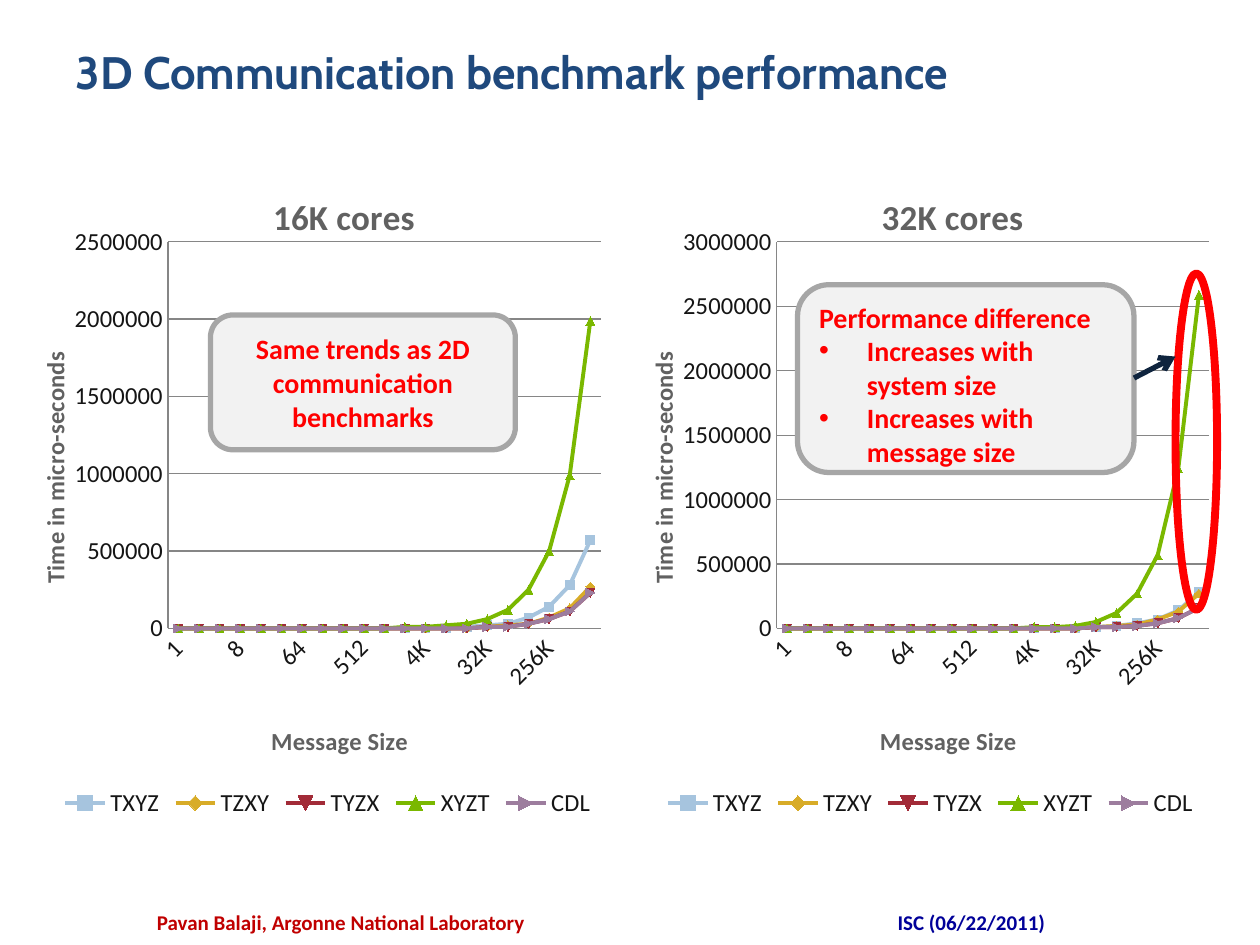
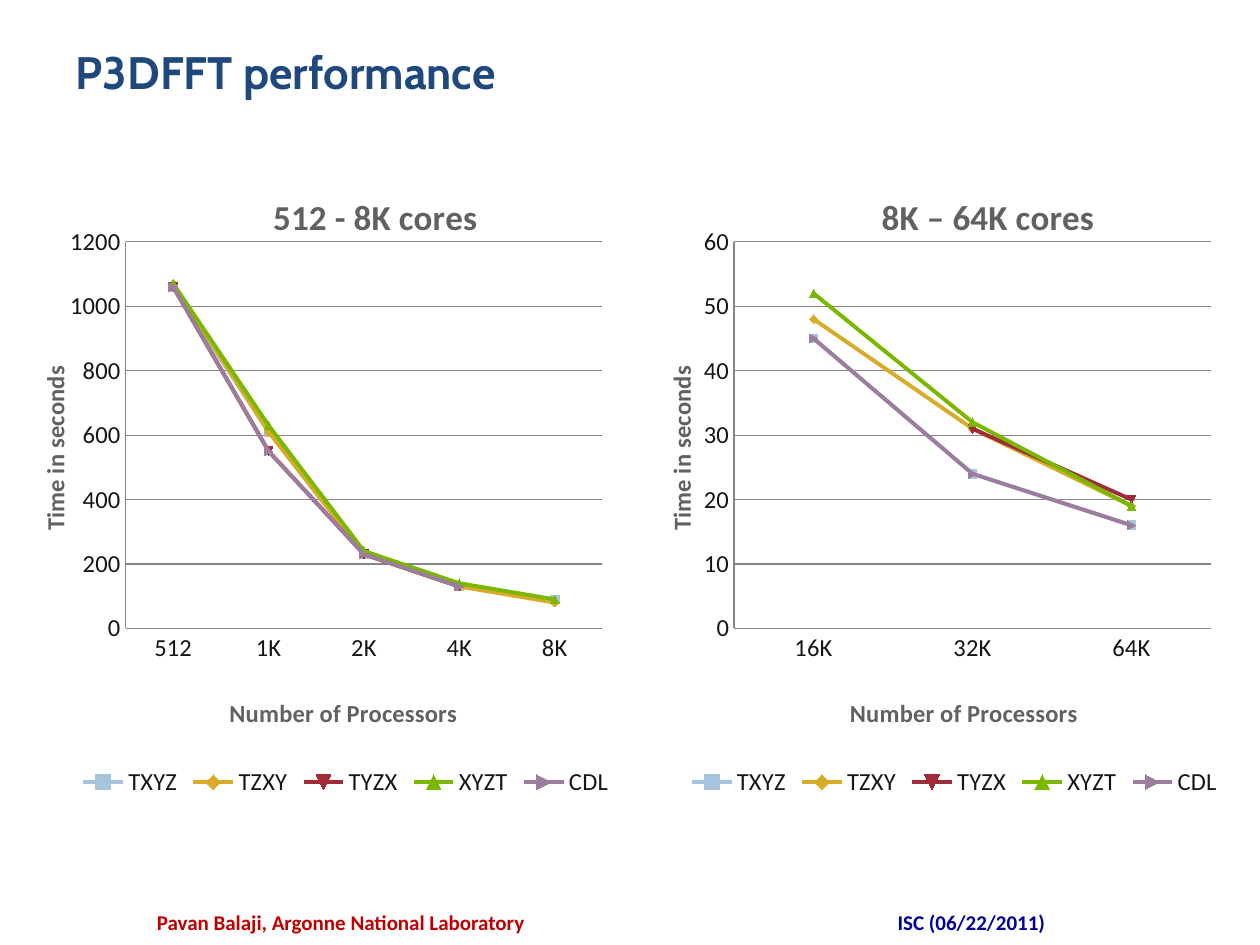
from lxml.etree import SubElement
from pptx import Presentation
from pptx.chart.data import CategoryChartData
from pptx.dml.color import RGBColor
from pptx.enum.chart import XL_CHART_TYPE, XL_LEGEND_POSITION, XL_TICK_MARK
from pptx.enum.shapes import MSO_CONNECTOR, MSO_SHAPE
from pptx.enum.text import MSO_ANCHOR, PP_ALIGN
from pptx.oxml.ns import qn
from pptx.util import Inches, Pt

# Shared look
NAVY, CRIMSON, BLUE, RED = "1F497D", "C00000", "000099", "FF0000"
GREY, INK, GRID = "616161", "151515", "868686"
PANEL, PANEL_EDGE, ARROW = "F2F2F2", "A6A6A6", "0F243E"
BODY_FONT, TITLE_FONT = "Calibri", "Cabin"
SERIES_COLORS = {"TXYZ": "A6C4DE", "TZXY": "D8AC28", "TYZX": "A22B38",
                 "XYZT": "7AB800", "CDL": "9D7D9E"}
CHART_LEFTS = (0.17, 5)

# Message sizes 1, 2, 4 ... 512K, 1MB
MESSAGE_SIZES = [str(2 ** n) if n < 10 else f"{2 ** (n - 10)}K"
                 for n in range(20)] + ["1MB"]


def color(hex_text):
    return RGBColor.from_string(hex_text)


def style_font(font, size, hex_color, bold=False, name=BODY_FONT):
    font.size, font.bold, font.name = Pt(size), bold, name
    font.color.rgb = color(hex_color)


def write(frame, *lines, size=16, hex_color=RED, bold=True, name=BODY_FONT,
          align=PP_ALIGN.LEFT, anchor=MSO_ANCHOR.TOP, bullets_from=None):
    """Fill a text frame, one paragraph a line; later lines may be bulleted."""
    frame.word_wrap = True
    frame.vertical_anchor = anchor
    for index, line in enumerate(lines):
        para = frame.paragraphs[0] if index == 0 else frame.add_paragraph()
        para.alignment = align
        if bullets_from is not None and index >= bullets_from:
            properties = para._p.get_or_add_pPr()
            properties.set("marL", str(Inches(0.38)))
            properties.set("indent", str(-Inches(0.38)))
            SubElement(properties, qn("a:buFont"), typeface="Arial")
            SubElement(properties, qn("a:buChar"), char="•")
        span = para.add_run()
        span.text = line
        style_font(span.font, size, hex_color, bold, name)


def add_page(deck, title):
    page = deck.slides.add_slide(deck.slide_layouts[5])
    box = page.shapes.title
    box.left, box.top = Inches(0.5), Inches(0.3)
    box.width, box.height = Inches(9), Inches(0.87)
    write(box.text_frame, title, size=26, hex_color=NAVY, name=TITLE_FONT)
    add_footer(page, "Pavan Balaji, Argonne National Laboratory", 1.08, 3.25, CRIMSON)
    add_footer(page, "ISC (06/22/2011)", 5.75, 3.92, BLUE)
    return page


def add_footer(page, text, left, width, hex_color):
    box = page.shapes.add_textbox(Inches(left), Inches(7.17), Inches(width), Inches(0.25))
    write(box.text_frame, text, size=12, hex_color=hex_color, align=PP_ALIGN.CENTER)


def place(element, **fractions):
    """Give a chart part a fixed place, as fractions of the chart."""
    is_plot = element.tag == qn("c:plotArea")
    old = element.find(qn("c:layout"))
    if old is not None:
        element.remove(old)
    layout = SubElement(element, qn("c:layout"))
    element.insert(0 if is_plot else 1, layout)
    manual = SubElement(layout, qn("c:manualLayout"))
    if is_plot:
        SubElement(manual, qn("c:layoutTarget"), val="inner")
    for key in "xy":
        SubElement(manual, qn(f"c:{key}Mode"), val="edge")
    for key, value in fractions.items():
        SubElement(manual, qn(f"c:{key}"), val=str(value))


def set_title(title, text, size, x, y, rotation=None):
    frame = title.text_frame
    frame.text = text
    style_font(frame.paragraphs[0].runs[0].font, size, GREY, bold=True)
    if rotation is not None:
        body = title.element.find(".//" + qn("a:bodyPr"))
        body.set("rot", str(rotation * 60000))
        body.set("vert", "horz")
    place(title.element, x=x, y=y)


def style_axis(axis):
    axis.major_tick_mark = axis.minor_tick_mark = XL_TICK_MARK.NONE
    style_font(axis.tick_labels.font, 14, INK)
    axis.format.line.color.rgb = color(GRID)
    axis.format.line.width = Pt(0.75)


def thin_labels(chart, every, rotation):
    """Show one category label in so many, slanted."""
    axis = chart.element.find(".//" + qn("c:catAx"))
    skip = SubElement(axis, qn("c:tickLblSkip"), val=str(every))
    axis.find(qn("c:noMultiLvlLbl")).addprevious(skip)
    axis.find(qn("c:txPr")).find(qn("a:bodyPr")).set("rot", str(rotation * 60000))


def add_line_chart(page, left, title, categories, rows, top_value, step,
                   category_title, value_title, plot, legend):
    """Titles come as (text, x, y), the plot as (x, width), the legend as (x, y)."""
    data = CategoryChartData()
    data.categories = categories
    for name, values in zip(SERIES_COLORS, rows):
        data.add_series(name, values)
    chart = page.shapes.add_chart(XL_CHART_TYPE.LINE_MARKERS, Inches(left), Inches(1.25),
                                  Inches(4.75), Inches(5.58), data).chart
    style_font(chart.font, 18, GREY)
    chart.has_title = True
    set_title(chart.chart_title, title, 20, 0.41, 0.04)

    # Axes
    for axis, (text, x, y), rotation in ((chart.category_axis, category_title, None),
                                         (chart.value_axis, value_title, -90)):
        style_axis(axis)
        axis.has_title = True
        set_title(axis.axis_title, text, 14, x, y, rotation)
    values_axis = chart.value_axis
    values_axis.minimum_scale, values_axis.maximum_scale = 0, top_value
    values_axis.major_unit = step
    values_axis.has_major_gridlines = True
    values_axis.major_gridlines.format.line.color.rgb = color(GRID)
    values_axis.major_gridlines.format.line.width = Pt(0.75)

    # Series
    for series in chart.plots[0].series:
        shade = color(SERIES_COLORS[series.name])
        series.smooth = False
        series.format.line.color.rgb = shade
        series.format.line.width = Pt(2.25)
        series.marker.size = 5
        series.marker.format.fill.solid()
        series.marker.format.fill.fore_color.rgb = shade
        series.marker.format.line.color.rgb = shade
    chart.plots[0].vary_by_categories = False

    # Legend and plot area
    chart.has_legend = True
    chart.legend.position = XL_LEGEND_POSITION.BOTTOM
    chart.legend.include_in_layout = False
    style_font(chart.legend.font, 14, INK)
    place(chart.element.find(".//" + qn("c:legend")), x=legend[0], y=legend[1])
    place(chart.element.find(".//" + qn("c:plotArea")),
          x=plot[0], y=0.12, w=plot[1], h=0.55)
    return chart


def add_outlined(page, kind, left, top, width, height, edge, weight, fill=None):
    shape = page.shapes.add_shape(kind, Inches(left), Inches(top),
                                  Inches(width), Inches(height))
    shape.shadow.inherit = False
    shape.line.color.rgb = color(edge)
    shape.line.width = Pt(weight)
    if fill:
        shape.fill.solid()
        shape.fill.fore_color.rgb = color(fill)
    else:
        shape.fill.background()
    return shape


def add_callout(page, left, top, width, height, *lines, **text_format):
    panel = add_outlined(page, MSO_SHAPE.ROUNDED_RECTANGLE, left, top, width, height,
                         PANEL_EDGE, 3, PANEL)
    write(panel.text_frame, *lines, **text_format)


def add_arrow(page, x1, y1, x2, y2):
    arrow = page.shapes.add_connector(MSO_CONNECTOR.STRAIGHT, Inches(x1), Inches(y1),
                                      Inches(x2), Inches(y2))
    arrow.line.color.rgb = color(ARROW)
    arrow.line.width = Pt(3)
    SubElement(arrow.line._get_or_add_ln(), qn("a:tailEnd"), type="arrow")
    SubElement(arrow._element.spPr, qn("a:effectLst"))


def message_times(*last_values):
    """Times in units of 10000; the smaller messages all take about 0."""
    start = [0] * (len(MESSAGE_SIZES) - len(last_values))
    return start + [value * 10000 for value in last_values]


def build_communication_page(deck):
    page = add_page(deck, "3D Communication benchmark performance")
    times_16k = [message_times(1, 2, 3, 7, 14, 28, 57),
                 message_times(1, 2, 3, 7, 13, 27),
                 message_times(1, 1, 3, 6, 11, 23),
                 message_times(1, 1, 2, 3, 6, 12, 25, 50, 99, 199),
                 message_times(1, 1, 3, 6, 11, 23)]
    times_32k = [message_times(1, 2, 4, 7, 14, 28),
                 message_times(1, 2, 3, 7, 13, 27),
                 message_times(1, 1, 2, 4, 8, 16),
                 message_times(1, 1, 2, 5, 12, 27, 57, 124, 259),
                 message_times(1, 1, 2, 4, 8, 16)]
    charts = (("16K cores", times_16k, 2500000, 0.06),
              ("32K cores", times_32k, 3000000, 0.05))
    for left, (title, rows, top_value, legend_x) in zip(CHART_LEFTS, charts):
        chart = add_line_chart(page, left, title, MESSAGE_SIZES, rows, top_value, 500000,
                               ("Message Size", 0.41, 0.8),
                               ("Time in micro-seconds", 0.02, 0.27),
                               plot=(0.245, 0.723), legend=(legend_x, 0.89))
        thin_labels(chart, every=3, rotation=-45)

    # Remarks on the charts
    add_outlined(page, MSO_SHAPE.OVAL, 9.33, 2.17, 0.33, 2.67, RED, 4.5)
    add_callout(page, 6.33, 2.26, 2.67, 1.49, "Performance difference",
                "Increases with system size", "Increases with message size",
                bullets_from=1)
    add_arrow(page, 9, 3, 9.33, 2.83)
    add_callout(page, 1.67, 2.5, 2.42, 1.07, "Same trends as 2D communication benchmarks",
                align=PP_ALIGN.CENTER, anchor=MSO_ANCHOR.MIDDLE)


def build_p3dfft_page(deck):
    page = add_page(deck, "P3DFFT performance")
    small_runs = [(1060, 610, 230, 130, 90), (1070, 610, 230, 130, 80),
                  (1060, 550, 230, 130, None), (1070, 630, 240, 140, 90),
                  (1060, 550, 230, 130, None)]
    large_runs = [(45, 24, 16), (48, 31, 19), (None, 31, 20), (52, 32, 19), (45, 24, 16)]
    charts = (("512 - 8K cores", ("512", "1K", "2K", "4K", "8K"), small_runs,
               1200, 200, 0.34, 0.02),
              ("8K – 64K cores", ("16K", "32K", "64K"), large_runs,
               60, 10, 0.36, 0.05))
    for left, (title, cores, rows, top_value, step, name_x, time_x) in zip(CHART_LEFTS, charts):
        add_line_chart(page, left, title, cores, rows, top_value, step,
                       ("Number of Processors", name_x, 0.76),
                       ("Time in seconds", time_x, 0.29),
                       plot=(0.174, 0.797), legend=(0.09, 0.86))


def main():
    deck = Presentation()
    deck.slide_width, deck.slide_height = Inches(10), Inches(7.5)
    build_communication_page(deck)
    build_p3dfft_page(deck)
    deck.save("out.pptx")


if __name__ == "__main__":
    main()
